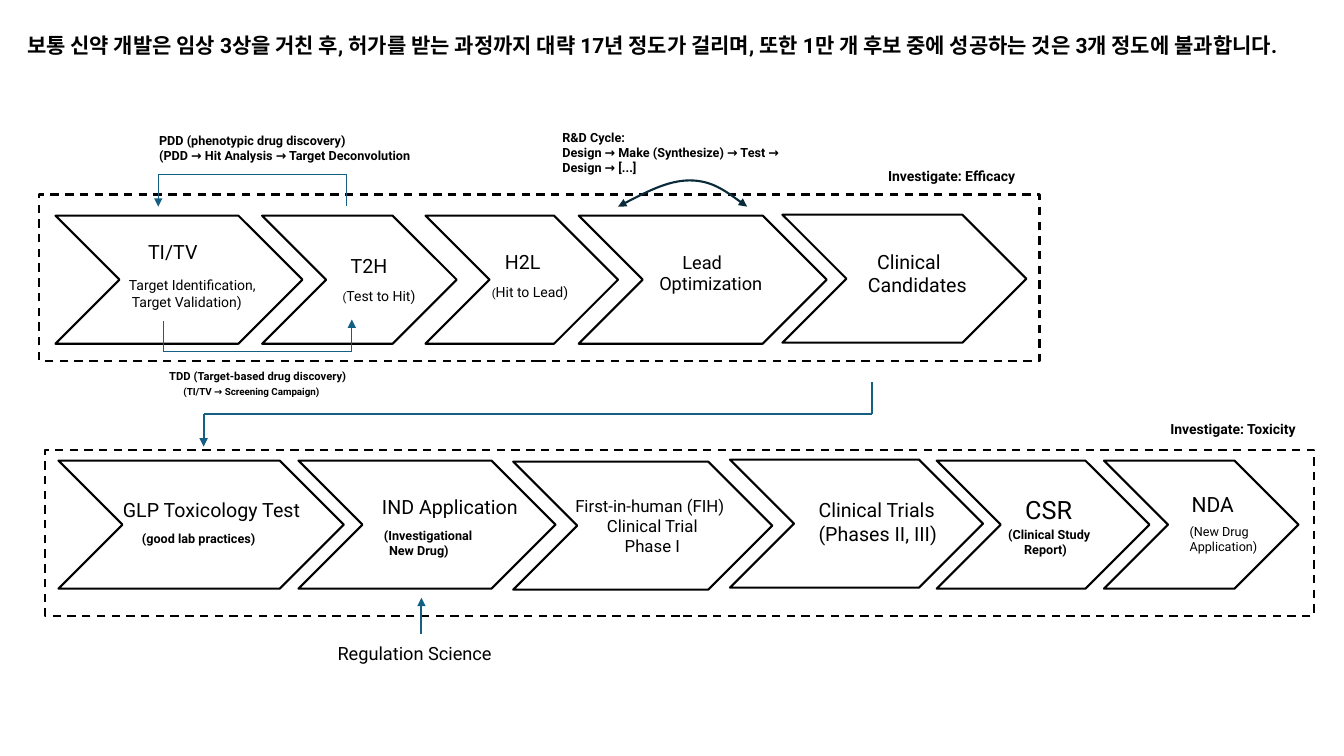
from dataclasses import dataclass
from itertools import pairwise

from lxml import etree
from pptx import Presentation
from pptx.dml.color import RGBColor
from pptx.enum import dml, shapes, text
from pptx.oxml import ns
from pptx.util import Inches, Pt

COLORS = {"ink": "000000", "flow": "156082", "cycle": "092A39"}
CHEVRON_HEIGHT = 1.27


@dataclass(frozen=True)
class Line:
    """One paragraph; indent in inches, before in points."""
    text: str
    size: float
    bold: bool = False
    indent: float = 0
    before: float = 0
    small_lead: str = ""


@dataclass(frozen=True)
class Label:
    left: float
    top: float
    width: float
    height: float
    lines: tuple[Line, ...]
    centred: bool = False


@dataclass(frozen=True)
class Stage:
    left: float
    top: float
    width: float


@dataclass(frozen=True)
class Route:
    """Straight segments through the points, with an arrowhead at the end."""
    points: tuple[tuple[float, float], ...]
    weight: float


PHASE_FRAMES = [(0.45, 4.46, 12.58, 1.65), (0.39, 1.93, 9.92, 1.65)]

STAGES = [
    Stage(0.55, 2.14, 2.45), Stage(2.6, 2.14, 1.93), Stage(4.22, 2.14, 1.91),
    Stage(5.74, 2.14, 2.46), Stage(7.76, 2.13, 2.42),
    Stage(0.58, 4.57, 2.83), Stage(2.96, 4.57, 2.55), Stage(5.09, 4.58, 2.57),
    Stage(7.24, 4.56, 2.51), Stage(9.29, 4.57, 2.11), Stage(10.95, 4.57, 1.93),
]

ROUTES = [
    Route(((8.65, 3.79), (8.65, 4.11), (2.02, 4.11), (2.02, 4.43)), 1.5),
    Route(((4.18, 6.29), (4.18, 5.93)), 1.5),
    Route(((3.44, 2.04), (3.44, 1.73), (1.57, 1.73), (1.57, 2.05)), 0.75),
    Route(((1.62, 3.18), (1.62, 3.49), (3.49, 3.49), (3.49, 3.17)), 0.75),
]

CYCLE_CURVE = [(6.13, 2.05), (6.38, 1.92), (6.63, 1.79), (6.84, 1.79),
               (7.06, 1.79), (7.23, 1.92), (7.41, 2.05)]

LABELS = [
    Label(0.17, 0.27, 13, 0.61, (
        Line("보통 신약 개발은 임상 3상을 거친 후, 허가를 받는 과정까지 대략 17년 정도가 걸리며, "
             "또한 1만 개 후보 중에 성공하는 것은 3개 정도에 불과합니다.", 15, True),)),
    Label(1.48, 1.27, 3.4, 0.4, (
        Line("PDD (phenotypic drug discovery)", 9, True),
        Line("(PDD → Hit Analysis → Target Deconvolution", 9, True))),
    Label(5.48, 1.24, 2.59, 0.56, (
        Line("R&D Cycle:", 9, True),
        Line("Design → Make (Synthesize) → Test → Design → [...]", 9, True))),
    Label(8.71, 1.61, 1.79, 0.27, (Line("Investigate: Efficacy", 10, True),)),
    Label(1.18, 2.33, 1.61, 0.81, (
        Line("TI/TV", 14, indent=0.19),
        Line("Target Identification,", 10, before=9.4),
        Line("Target Validation)", 10, indent=0.03))),
    Label(3.15, 2.47, 1.61, 0.61, (
        Line("T2H", 14, indent=0.23),
        Line("Test to Hit)", 10, indent=0.15, before=7, small_lead="("))),
    Label(4.68, 2.43, 1.61, 0.61, (
        Line("H2L", 14, indent=0.23),
        Line("Hit to Lead)", 10, indent=0.1, before=7, small_lead="("))),
    Label(6.44, 2.44, 1.61, 0.76, (Line("Lead Optimization", 13, indent=0.23),)),
    Label(8.51, 2.43, 1.61, 0.67, (
        Line("Clinical", 14, indent=0.09), Line("Candidates", 14))),
    Label(1.58, 3.61, 2.55, 0.39, (
        Line("TDD (Target-based drug discovery)", 8, True),
        Line("(TI/TV → Screening Campaign)", 7, True, 0.14, 2.3))),
    Label(11.51, 4.12, 1.83, 0.27, (Line("Investigate: Toxicity", 10, True),)),
    Label(0.98, 4.89, 2.32, 0.59, (
        Line("GLP Toxicology Test", 14, indent=0.14),
        Line("(good lab practices)", 9, True, 0.33, 7))),
    Label(3.55, 4.86, 2.32, 0.74, (
        Line("IND Application", 14, indent=0.14),
        Line("(Investigational", 9, True, 0.16, 7),
        Line("New Drug)", 9, True, 0.21))),
    Label(5.25, 4.87, 2.32, 0.94, (
        Line("First-in-human (FIH)", 12, indent=0.07),
        Line("Clinical Trial", 12, indent=0.12),
        Line("Phase I", 12, indent=0.12)), centred=True),
    Label(7.83, 4.89, 1.83, 0.81, (
        Line("Clinical Trials", 14, indent=0.19),
        Line("(Phases II, III)", 14, indent=0.19))),
    Label(10.07, 4.85, 1.67, 0.4, (Line("CSR", 18),)),
    Label(9.9, 5.18, 1.75, 0.4, (
        Line("(Clinical Study", 9, True), Line("Report)", 9, True, 0.16))),
    Label(11.72, 4.83, 1.53, 0.35, (Line("NDA", 15),)),
    Label(11.7, 5.15, 1.6, 0.4, (Line("(New Drug", 9), Line("Application)", 9))),
    Label(3.25, 6.32, 3.26, 0.32, (Line("Regulation Science", 13),)),
]


def rgb(name: str) -> RGBColor:
    return RGBColor.from_string(COLORS[name])


def set_line(sp, color: str, weight: float) -> None:
    sp.line.color.rgb = rgb(color)
    sp.line.width = Pt(weight)


def add_outline(s, kind, left: float, top: float, width: float, height: float):
    """Add an unfilled black-edged preset shape."""
    sp = s.shapes.add_shape(kind, *map(Inches, (left, top, width, height)))
    sp.shadow.inherit = False
    sp.fill.background()
    set_line(sp, "ink", 1.5)
    return sp


def add_arrowhead(sp, end: str) -> None:
    ln = sp.line._get_or_add_ln()
    etree.SubElement(ln, ns.qn(f"a:{end}"), type="triangle")


def add_route(s, route: Route) -> None:
    for start, end in pairwise(route.points):
        sp = s.shapes.add_connector(
            shapes.MSO_CONNECTOR.STRAIGHT, *map(Inches, start + end))
        set_line(sp, "flow", route.weight)
        if end == route.points[-1]:
            add_arrowhead(sp, "tailEnd")
        etree.SubElement(sp._element.spPr, ns.qn("a:effectLst"))


def add_cycle_arrow(s) -> None:
    """Add a double-headed curve, turning each three segments into a Bézier."""
    start, *rest = [(Inches(x), Inches(y)) for x, y in CYCLE_CURVE]
    builder = s.shapes.build_freeform(*start)
    builder.add_line_segments(rest, close=False)
    sp = builder.convert_to_shape()
    segments = sp._element.xpath(".//a:lnTo")
    for i in range(0, len(segments), 3):
        curve = etree.Element(ns.qn("a:cubicBezTo"))
        segments[i].addprevious(curve)
        for segment in segments[i:i + 3]:
            curve.append(segment[0])
            segment.getparent().remove(segment)
    sp.shadow.inherit = False
    sp.fill.background()
    set_line(sp, "cycle", 1.5)
    for end in ("headEnd", "tailEnd"):
        add_arrowhead(sp, end)


def add_run(p, content: str, size: float, bold: bool) -> None:
    r = p.add_run()
    r.text = content
    for key, value in {"name": "Roboto", "size": Pt(size), "bold": bold}.items():
        setattr(r.font, key, value)
    r.font.color.rgb = rgb("ink")


def add_label(s, label: Label) -> None:
    box = (label.left, label.top, label.width, label.height)
    tf = s.shapes.add_textbox(*map(Inches, box)).text_frame
    tf.word_wrap = True
    for i, line in enumerate(label.lines):
        p = tf.add_paragraph() if i else tf.paragraphs[0]
        p.alignment = text.PP_ALIGN.CENTER if label.centred else text.PP_ALIGN.LEFT
        if line.indent:
            p._p.get_or_add_pPr().set("indent", str(Inches(line.indent)))
        if line.before:
            p.space_before = Pt(line.before)
        if line.small_lead:
            add_run(p, line.small_lead, 8, line.bold)
        add_run(p, line.text, line.size, line.bold)


def main() -> None:
    prs = Presentation()
    prs.slide_width, prs.slide_height = Inches(13.33), Inches(7.5)
    s = prs.slides.add_slide(prs.slide_layouts[6])
    for frame in PHASE_FRAMES:
        sp = add_outline(s, shapes.MSO_SHAPE.RECTANGLE, *frame)
        sp.line.dash_style = dml.MSO_LINE.DASH
    for stage in STAGES:
        add_outline(s, shapes.MSO_SHAPE.CHEVRON,
                    stage.left, stage.top, stage.width, CHEVRON_HEIGHT)
    for route in ROUTES:
        add_route(s, route)
    add_cycle_arrow(s)
    for label in LABELS:
        add_label(s, label)
    prs.save("out.pptx")


if __name__ == "__main__":
    main()
